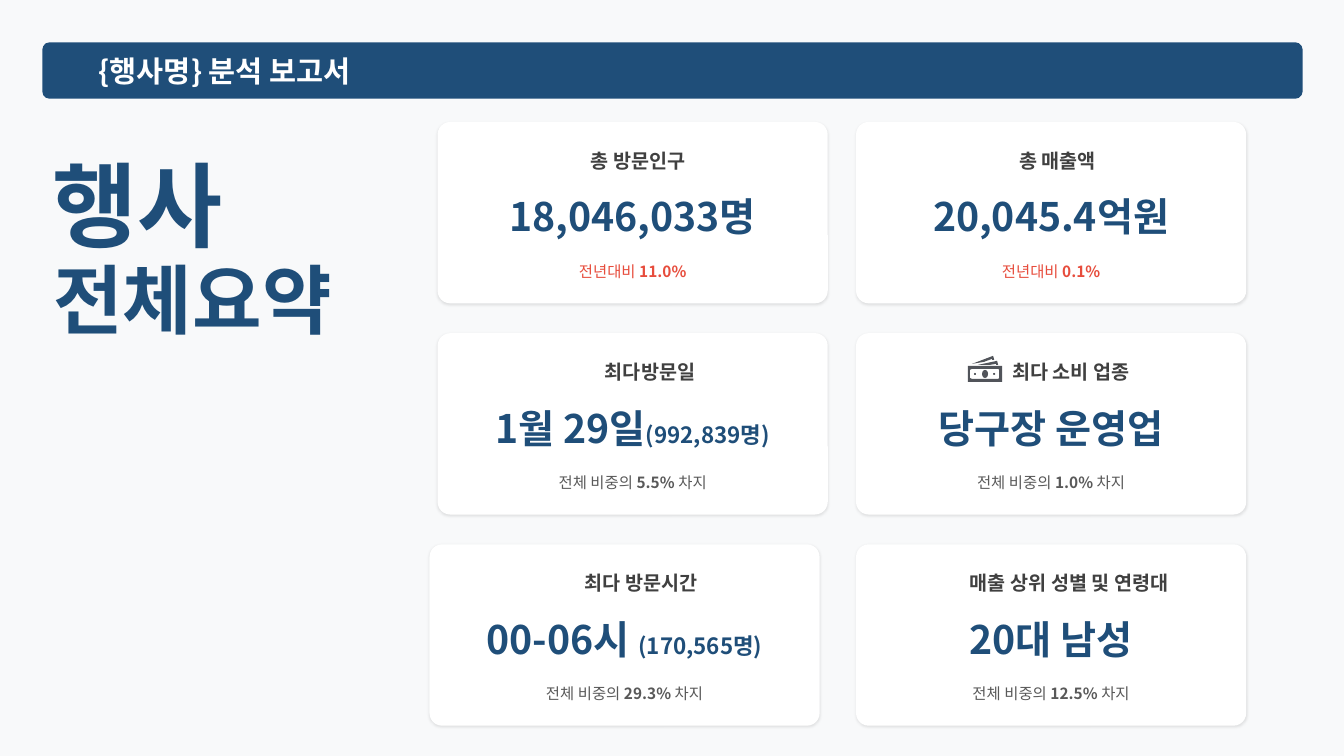
"""Build the event summary slide with six metric cards."""
from lxml import etree
from pptx import Presentation
from pptx.dml.color import RGBColor
from pptx.enum import shapes, text
from pptx.oxml import ns
from pptx.util import Inches, Pt

FONT = "Noto Sans CJK KR"
COLORS = {"background": "F8F9FA", "navy": "1F4E79", "white": "FFFFFF", "label": "404040",
          "note": "595959", "red": "E74C3C", "icon": "51545A"}
LEFT, CENTER = text.PP_ALIGN.LEFT, text.PP_ALIGN.CENTER


def write(sp, runs, size, color, bold=True, align=LEFT):
    """Write (text, size, bold) runs; None keeps the paragraph's value."""
    tf = sp.text_frame
    tf.word_wrap = True
    tf.auto_size = text.MSO_AUTO_SIZE.NONE
    tf.vertical_anchor = text.MSO_ANCHOR.MIDDLE
    tf.margin_left = tf.margin_right = tf.margin_top = tf.margin_bottom = 0
    p = tf.paragraphs[0]
    p.alignment = align
    p.font.name, p.font.size, p.font.bold = FONT, Pt(size), bold
    p.font.color.rgb = RGBColor.from_string(COLORS[color])
    latin = p._p.pPr.find(ns.qn("a:defRPr")).find(ns.qn("a:latin"))
    latin.addnext(latin.makeelement(ns.qn("a:ea"), {"typeface": FONT}))
    for words, run_size, run_bold in runs:
        r = p.add_run()
        r.text = words
        if run_size:
            r.font.size = Pt(run_size)
        if run_bold is not None:
            r.font.bold = run_bold


def paint(sp, color):
    """Give a shape a plain fill with no line or shadow."""
    sp.fill.solid()
    sp.fill.fore_color.rgb = RGBColor.from_string(COLORS[color])
    sp.line.fill.background()
    sp.shadow.inherit = False


prs = Presentation()
prs.slide_width, prs.slide_height = Inches(13.33), Inches(7.5)
s = prs.slides.add_slide(prs.slide_layouts[5])
s.background.fill.solid()
s.background.fill.fore_color.rgb = RGBColor.from_string(COLORS["background"])

title = s.shapes.title
title.left, title.top, title.width, title.height = map(Inches, (0.53, 2.41, 2.96, 1.09))
write(title, [("전체요약", None, None)], 54, "navy")

bar = s.shapes.add_shape(shapes.MSO_SHAPE.ROUNDED_RECTANGLE, *map(Inches, (0.42, 0.42, 12.5, 0.56)))
bar.adjustments[0] = 0.13
paint(bar, "navy")

for words, box, size, color in [
    ("{행사명} 분석 보고서", (0.98, 0.49, 6.57, 0.43), 21, "white"),
    ("행사", (0.52, 1.36, 2.33, 1.32), 66, "navy"),
]:
    write(s.shapes.add_textbox(*map(Inches, box)), [(words, None, None)], size, color)

CARD_W, CARD_H, CARD_TOP, ROW_STEP = 3.87, 1.8, 1.21, 2.095
CARDS = [
    (0, 4.34, 5.86, "총 방문인구", "18,046,033명", "", "전년대비 ", "11.0%", ""),
    (0, 8.49, 10.11, "총 매출액", "20,045.4억원", "", "전년대비 ", "0.1%", ""),
    (1, 4.34, 6.0, "최다방문일", "1월 29일", "(992,839명)", "전체 비중의 ", "5.5% ", "차지"),
    (1, 8.49, 10.04, "최다 소비 업종", "당구장 운영업", "", "전체 비중의 ", "1.0% ", "차지"),
    (2, 4.26, 5.8, "최다 방문시간", "00-06시 ", "(170,565명)", "전체 비중의 ", "29.3% ", "차지"),
    (2, 8.49, 9.62, "매출 상위 성별 및 연령대", "20대 남성", "", "전체 비중의 ", "12.5% ", "차지"),
]
for row, left, label_left, label, value, detail, before, share, after in CARDS:
    top = CARD_TOP + row * ROW_STEP
    card = s.shapes.add_shape(shapes.MSO_SHAPE.ROUNDED_RECTANGLE,
                              *map(Inches, (left, top, CARD_W, CARD_H)))
    card.adjustments[0] = 0.07
    paint(card, "white")
    effects = card._element.spPr.find(ns.qn("a:effectLst"))
    shadow = etree.SubElement(effects, ns.qn("a:outerShdw"), blurRad=str(Pt(2)), dist=str(Pt(1)),
                              dir="5400000", algn="t", rotWithShape="0")
    black = etree.SubElement(shadow, ns.qn("a:srgbClr"), val="000000")
    etree.SubElement(black, ns.qn("a:alpha"), val="10000")

    sp = s.shapes.add_textbox(*map(Inches, (label_left, top + 0.26, 2.02, 0.25)))
    write(sp, [(label, None, None)], 14, "label")
    sp = s.shapes.add_textbox(*map(Inches, (left, top + 0.69, CARD_W, 0.49)))
    write(sp, [(value, None, None)] + ([(detail, 16, None)] if detail else []), 28, "navy", align=CENTER)
    sp = s.shapes.add_textbox(*map(Inches, (left, top + 1.34, CARD_W, 0.28)))
    runs = [(before, None, None), (share, None, True)] + ([(after, None, None)] if after else [])
    write(sp, runs, 11, "note" if after else "red", bold=False, align=CENTER)

BANKNOTES = [
    [[(9.91, 3.75), (9.9, 3.76), (9.64, 3.76), (9.62, 3.75), (9.62, 3.67), (9.64, 3.66),
      (9.9, 3.66), (9.91, 3.67)], [(9.6, 3.63), (9.6, 3.79), (9.94, 3.79), (9.94, 3.63)]],
    [[(9.84, 3.56), (9.84, 3.57), (9.86, 3.57), (9.85, 3.53), (9.64, 3.61), (9.76, 3.59)]],
    [[(9.82, 3.62), (9.88, 3.61), (9.88, 3.62), (9.9, 3.62), (9.89, 3.58), (9.7, 3.62)]],
]
for outlines in BANKNOTES:
    outlines = [[(Inches(x), Inches(y)) for x, y in outline] for outline in outlines]
    builder = s.shapes.build_freeform(*outlines[0][0])
    builder.add_line_segments(outlines[0][1:], close=True)
    for outline in outlines[1:]:
        builder.move_to(*outline[0])
        builder.add_line_segments(outline[1:], close=True)
    paint(builder.convert_to_shape(), "icon")

for box in [(9.74, 3.67, 0.06, 0.08), (9.66, 3.7, 0.02, 0.02), (9.85, 3.7, 0.02, 0.02)]:
    paint(s.shapes.add_shape(shapes.MSO_SHAPE.OVAL, *map(Inches, box)), "icon")

prs.save("out.pptx")
